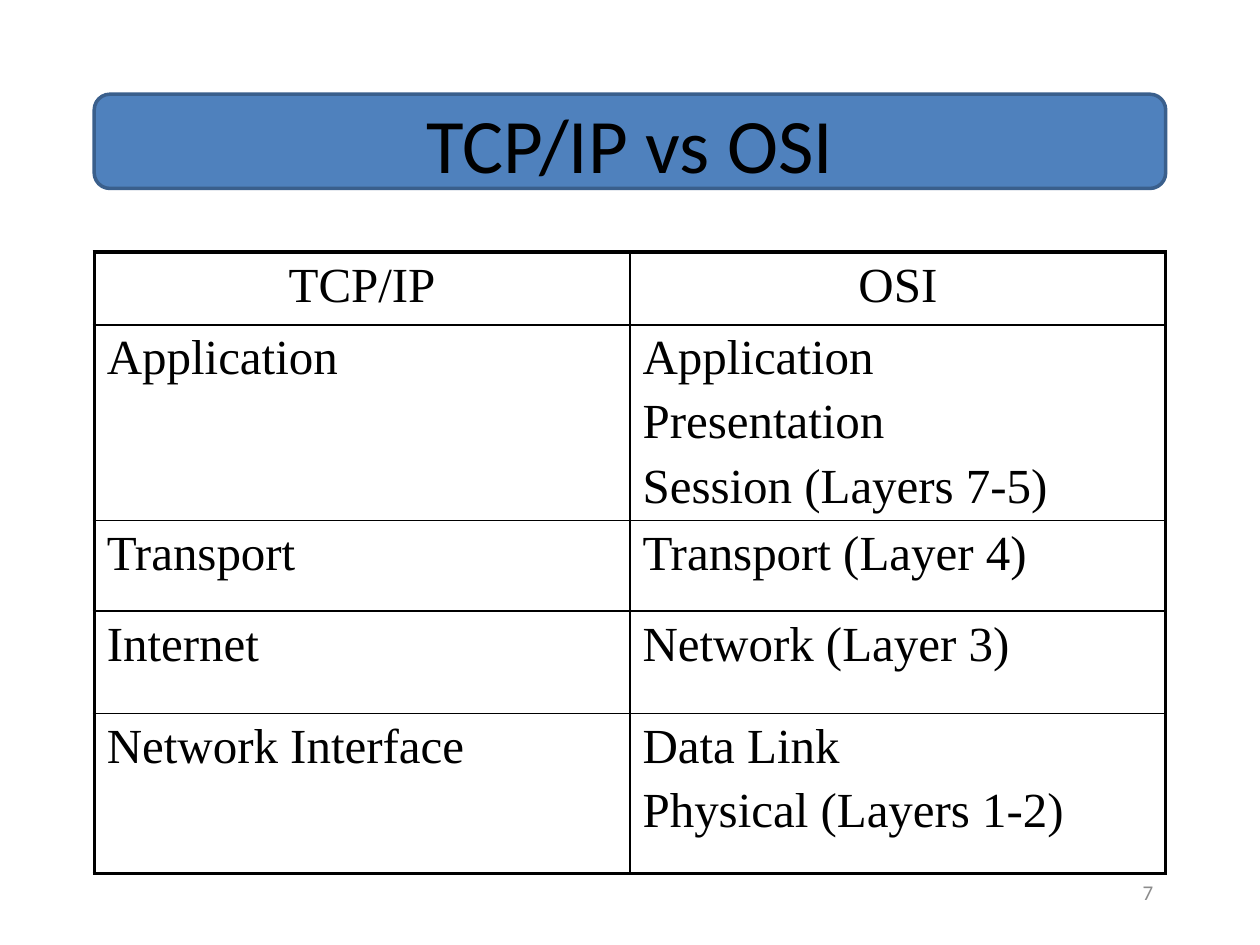
from lxml.etree import SubElement
from pptx import Presentation
from pptx.dml.color import RGBColor
from pptx.enum.shapes import MSO_SHAPE
from pptx.enum.text import MSO_ANCHOR, PP_ALIGN
from pptx.oxml import parse_xml
from pptx.oxml.ns import nsdecls, qn
from pptx.util import Cm, Pt

LEFT, WIDTH = Cm(1.9), Cm(21.6)
ROW_HEIGHTS = [1.47, 3.94, 1.83, 2.06, 3.23]
LAYERS = [
    ("TCP/IP", ["OSI"]),
    ("Application", ["Application", "Presentation ", "Session (Layers 7-5)"]),
    ("Transport", ["Transport (Layer 4)"]),
    ("Internet", ["Network (Layer 3)"]),
    ("Network Interface", ["Data Link ", "Physical (Layers 1-2)"]),
]


def color(value):
    """Turn a hex string into a colour."""
    return RGBColor.from_string(value)


def style(paragraph, size, font, ink, align):
    """Set the font and alignment of a paragraph."""
    paragraph.font.size = Pt(size)
    paragraph.font.name = font
    paragraph.font.color.rgb = color(ink)
    paragraph.alignment = align


def add_banner(slide):
    """Place the rounded bar behind the title."""
    banner = slide.shapes.add_shape(
        MSO_SHAPE.ROUNDED_RECTANGLE, LEFT, Cm(1.9), WIDTH, Cm(1.9))
    banner.shadow.inherit = False
    banner.fill.solid()
    banner.fill.fore_color.rgb = color("4F81BD")
    banner.line.color.rgb = color("3A5F8C")
    banner.line.width = Pt(2)
    slide.shapes._spTree.insert(2, banner._element)


def add_title(slide, text):
    """Fill and place the title placeholder."""
    title = slide.shapes.title
    title.left, title.top, title.width, title.height = LEFT, Cm(1.7), WIDTH, Cm(2.34)
    title.text_frame.text = text
    title.text_frame.vertical_anchor = MSO_ANCHOR.MIDDLE
    style(title.text_frame.paragraphs[0], 44, "Calibri", "000000", PP_ALIGN.CENTER)


def set_borders(cell, widths):
    """Draw black borders from a mapping of side to width in points."""
    properties = cell._tc.get_or_add_tcPr()
    for index, (side, width) in enumerate(widths.items()):
        properties.insert(index, parse_xml(
            f'<a:ln{side} {nsdecls("a")} w="{Pt(width)}"><a:solidFill>'
            f'<a:srgbClr val="000000"/></a:solidFill></a:ln{side}>'))


def fill_cell(cell, lines, align):
    """Write the lines of a cell, each with space before it."""
    cell.fill.background()
    cell.text = "\n".join(lines)
    for paragraph in cell.text_frame.paragraphs:
        style(paragraph, 28, "Times New Roman", "000000", align)
        paragraph.space_before = Pt(0)
        spacing = paragraph._p.pPr.find(qn("a:spcBef"))
        spacing.remove(spacing[0])
        SubElement(spacing, qn("a:spcPct")).set("val", "20000")


def add_layer_table(slide):
    """Add the comparison of both layer models."""
    table = slide.shapes.add_table(
        len(LAYERS), 2, LEFT, Cm(5.08), WIDTH, Cm(sum(ROW_HEIGHTS))).table
    table.first_row = table.horz_banding = False
    last = len(LAYERS) - 1
    for row, (tcp_ip, osi) in enumerate(LAYERS):
        table.rows[row].height = Cm(ROW_HEIGHTS[row])
        align = PP_ALIGN.CENTER if row == 0 else PP_ALIGN.LEFT
        for column, lines in enumerate(([tcp_ip], osi)):
            cell = table.cell(row, column)
            fill_cell(cell, lines, align)
            outer = {"L": column == 0, "R": column == 1, "T": row == 0, "B": row == last}
            set_borders(cell, {side: 2.25 if edge else 1 for side, edge in outer.items()})


def add_page_number(slide, number):
    """Add the grey page number at the lower right."""
    frame = slide.shapes.add_textbox(Cm(18.2), Cm(17.35), Cm(5.3), Cm(1.27)).text_frame
    frame.word_wrap = True
    frame.vertical_anchor = MSO_ANCHOR.MIDDLE
    frame.text = number
    style(frame.paragraphs[0], 12, "Calibri", "8C8C8C", PP_ALIGN.RIGHT)


def main():
    """Build and save the slide."""
    presentation = Presentation()
    presentation.slide_width, presentation.slide_height = Cm(25.4), Cm(19.05)
    slide = presentation.slides.add_slide(presentation.slide_layouts[5])
    add_banner(slide)
    add_title(slide, "TCP/IP vs OSI")
    add_layer_table(slide)
    add_page_number(slide, "7")
    presentation.save("out.pptx")


main()
